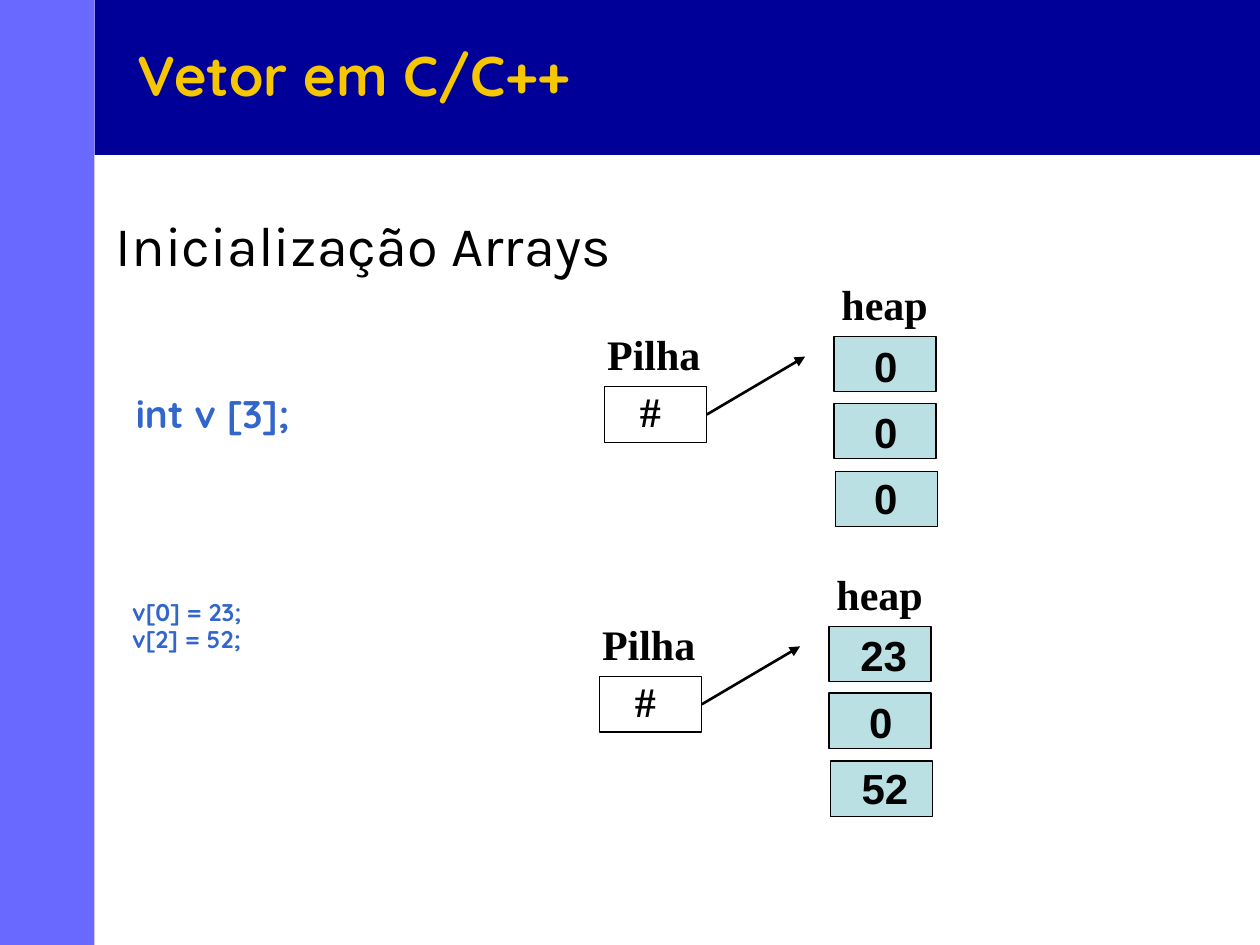
from dataclasses import dataclass

from lxml import etree
from pptx import Presentation
from pptx.dml.color import RGBColor
from pptx.enum import shapes, text
from pptx.oxml import ns
from pptx.util import Inches, Pt


@dataclass(frozen=True)
class Theme:
    banner: str = "000099"
    sidebar: str = "6969FF"
    title: str = "F6C700"
    code: str = "3366CC"
    heading: str = "000000"
    ink: str = "020202"
    outline: str = "000000"
    heap: str = "BBE0E3"
    stack: str = "FFFFFF"
    heading_size: float = 32
    label_size: float = 24
    declaration_size: float = 22
    assignment_size: float = 13.8


theme = Theme()


def write(box, content, font, size, color, bold=True, align=text.PP_ALIGN.LEFT,
          spacing=None, before=0, anchor=text.MSO_ANCHOR.TOP, wrap=True):
    """Fill a shape with one paragraph for each line of content."""
    frame = box.text_frame
    frame.text = content
    frame.word_wrap = wrap
    frame.auto_size = text.MSO_AUTO_SIZE.NONE
    frame.vertical_anchor = anchor
    for number, para in enumerate(frame.paragraphs):
        para.alignment = align
        para.line_spacing = spacing
        para.space_before = Pt(before if number else 0)
        for span in para.runs:
            span.font.name = font
            span.font.size = Pt(size)
            span.font.bold = bold
            span.font.color.rgb = RGBColor.from_string(color)


def add_box(parent, left, top, width, height, fill, outline=None):
    box = parent.add_shape(shapes.MSO_SHAPE.RECTANGLE, Inches(left), Inches(top),
                           Inches(width), Inches(height))
    box.shadow.inherit = False
    box.fill.solid()
    box.fill.fore_color.rgb = RGBColor.from_string(fill)
    if outline:
        box.line.color.rgb = RGBColor.from_string(outline)
        box.line.width = Pt(0.75)
    else:
        box.line.fill.background()
    return box


deck = Presentation()
deck.slide_width, deck.slide_height = Inches(10), Inches(7.5)
page = deck.slides.add_slide(deck.slide_layouts[5])

# Background bands, with the title brought in front of them
add_box(page.shapes, 0.75, 0, 9.25, 1.23, theme.banner)
add_box(page.shapes, 0, 0, 0.75, 7.5, theme.sidebar)
title = page.shapes.title
title.element.getparent().append(title.element)
title.left, title.top = Inches(0.99), Inches(0.21)
title.width, title.height = Inches(8.5), Inches(0.75)
write(title, "Vetor em C/C++", "Quicksand", theme.heading_size, theme.title,
      anchor=text.MSO_ANCHOR.MIDDLE)

heading = page.shapes.add_textbox(Inches(0.82), Inches(1.62), Inches(7.25), Inches(0.64))
write(heading, "Inicialização Arrays", "Karla", theme.heading_size, theme.heading, bold=False)

# Code on the left
for left, top, code, size, spacing in (
    (0.98, 3.12, "int v [3];", theme.declaration_size, 0.8),
    (0.95, 4.77, "v[0] = 23;\nv[2] = 52;", theme.assignment_size, 0.6),
):
    box = page.shapes.add_textbox(Inches(left), Inches(top), Inches(3.15), Inches(0.48))
    write(box, code, "Quicksand", size, theme.code, align=text.PP_ALIGN.JUSTIFY,
          spacing=spacing, before=5.5)

# Memory diagrams: the second repeats the first, shifted, with new values
cell_width, cell_height, label_height = 0.81, 0.44, 0.5
heap_cells = ((6.62, 2.67, 2.65), (6.62, 3.2, 3.18), (6.63, 3.74, 3.7))
value_places = {"0": (6.84, 0.47), "23": (6.77, 0.8), "52": (6.78, 0.87)}

for dx, dy, values in ((0, 0, ("0", "0", "0")), (-0.04, 2.3, ("23", "0", "52"))):
    diagram = page.shapes.add_group_shape().shapes
    labels = [("heap", 6.58, 2.16, 1.02, "Times New Roman"),
              ("Pilha", 4.72, 2.56, 1.02, "Times New Roman"),
              ("#", 4.98, 3.01, 0.47, "Times New Roman")]
    for value, (left, top, value_top) in zip(values, heap_cells):
        add_box(diagram, left + dx, top + dy, cell_width, cell_height,
                theme.heap, theme.outline)
        value_left, value_width = value_places[value]
        labels.append((value, value_left, value_top, value_width, "Arial"))
    stack = add_box(diagram, 4.8 + dx, 3.07 + dy, cell_width, cell_height,
                    theme.stack, theme.outline)

    for content, left, top, width, font in labels:
        label = diagram.add_textbox(Inches(left + dx), Inches(top + dy),
                                    Inches(width), Inches(label_height))
        write(label, content, font, theme.label_size, theme.ink)

    arrow = diagram.add_connector(shapes.MSO_CONNECTOR.STRAIGHT,
                                  Inches(5.61 + dx), Inches(3.29 + dy),
                                  Inches(6.39 + dx), Inches(2.83 + dy))
    arrow.begin_connect(stack, 3)
    arrow.line.color.rgb = RGBColor.from_string(theme.ink)
    arrow.line.width = Pt(1.5)
    etree.SubElement(arrow.line._get_or_add_ln(), ns.qn("a:tailEnd"), type="triangle")
    etree.SubElement(arrow.element.spPr, ns.qn("a:effectLst"))

deck.save("out.pptx")
